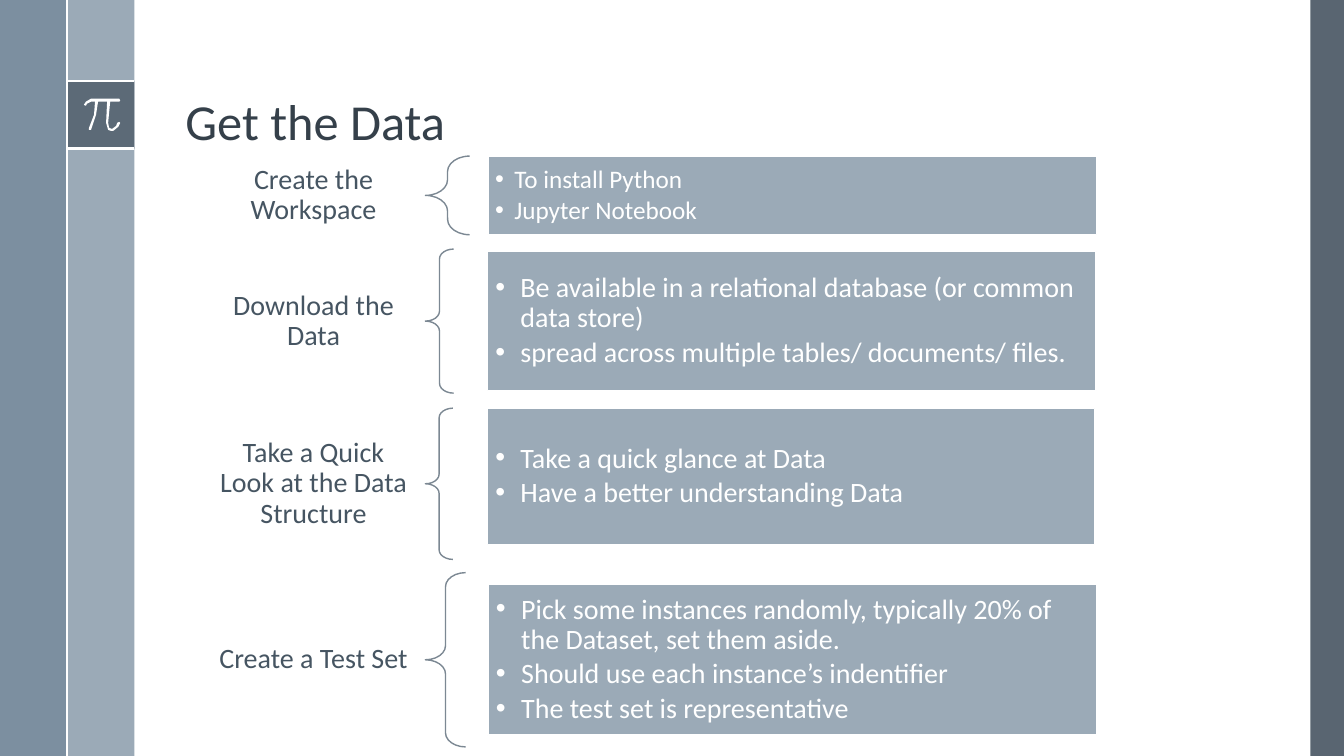
from dataclasses import dataclass

from lxml import etree
from pptx import Presentation
from pptx.dml.color import RGBColor
from pptx.enum.shapes import MSO_CONNECTOR, MSO_SHAPE
from pptx.enum.text import MSO_ANCHOR, MSO_AUTO_SIZE, PP_ALIGN
from pptx.oxml.ns import qn
from pptx.util import Inches, Pt

RECTANGLE, BRACE = MSO_SHAPE.RECTANGLE, MSO_SHAPE.LEFT_BRACE
STRAIGHT = MSO_CONNECTOR.STRAIGHT
MIDDLE, BOTTOM = MSO_ANCHOR.MIDDLE, MSO_ANCHOR.BOTTOM
LEFT, CENTER = PP_ALIGN.LEFT, PP_ALIGN.CENTER
NO_FIT = MSO_AUTO_SIZE.NONE
COMPARISON_LAYOUT = 4


@dataclass(frozen=True)
class Theme:
    font: str = "Calibri"
    title_ink: str = "35404A"
    label_ink: str = "465562"
    white: str = "FFFFFF"
    panel: str = "9BAAB7"
    margin: str = "6A8093"
    dark: str = "475562"
    brace: str = "7C8893"
    title_size: int = 36
    text_size: int = 20
    small_size: int = 18


def assign(target, values):
    for name, value in values.items():
        setattr(target, name, value)


class SlideBuilder:
    def __init__(self, presentation, theme, columns=20, rows=20):
        self.theme = theme
        self.column = presentation.slide_width / columns
        self.row = presentation.slide_height / rows
        layout = presentation.slide_layouts[COMPARISON_LAYOUT]
        self.slide = presentation.slides.add_slide(layout)
        self.shapes = self.slide.shapes

    def place(self, left, top, width, height):
        return (round(left * self.column), round(top * self.row),
                round(width * self.column), round(height * self.row))

    def move(self, holder, area):
        assign(holder, dict(zip(("left", "top", "width", "height"), self.place(*area))))

    def paint(self, shape, color, opacity=100):
        shape.fill.solid()
        shape.fill.fore_color.rgb = RGBColor.from_string(color)
        if opacity < 100:
            tint = next(shape.element.spPr.iter(qn("a:srgbClr")))
            etree.SubElement(tint, qn("a:alpha"), val=str(opacity * 1000))

    def stroke(self, shape, color, width):
        shape.line.color.rgb = RGBColor.from_string(color)
        shape.line.width = Pt(width)

    def band(self, area, color, opacity=100):
        band = self.shapes.add_shape(RECTANGLE, *self.place(*area))
        band.shadow.inherit = False
        self.paint(band, color, opacity)
        band.line.fill.background()

    def rule(self, left, top, width, height):
        x, y, dx, dy = self.place(left, top, width, height)
        rule = self.shapes.add_connector(STRAIGHT, x, y, x + dx, y + dy)
        self.stroke(rule, self.theme.white, 1.5)
        etree.SubElement(rule.element.spPr, qn("a:effectLst"))

    def glyph(self, left, top, outline):
        builder = self.shapes.build_freeform(*outline[0], scale=self.column * 0.015)
        builder.add_line_segments(outline[1:], close=True)
        x, y, _, _ = self.place(left, top, 0, 0)
        glyph = builder.convert_to_shape(x, y)
        glyph.shadow.inherit = False
        self.paint(glyph, self.theme.white)
        glyph.line.fill.background()

    def brace(self, area):
        brace = self.shapes.add_shape(BRACE, *self.place(*area))
        brace.shadow.inherit = False
        brace.adjustments[0] = 0.35
        brace.fill.background()
        self.stroke(brace, self.theme.brace, 1)

    def typeset(self, frame, lines, color, size, align, anchor, insets, after=0):
        sides = ("margin_left", "margin_top", "margin_right", "margin_bottom")
        assign(frame, {"word_wrap": True, "auto_size": NO_FIT, "vertical_anchor": anchor,
                       **dict(zip(sides, map(Inches, insets)))})
        frame.text = "\n".join(lines)
        for paragraph in frame.paragraphs:
            assign(paragraph, {"alignment": align, "line_spacing": 0.9,
                               "space_before": Pt(0), "space_after": Pt(after)})
            for run in paragraph.runs:
                assign(run.font, {"name": self.theme.font, "size": Pt(size), "bold": False})
                run.font.color.rgb = RGBColor.from_string(color)

    def title(self, area, text):
        holder = self.shapes.title
        self.move(holder, area)
        self.typeset(holder.text_frame, [text], self.theme.title_ink,
                     self.theme.title_size, LEFT, BOTTOM, (0.1, 0.05, 0.1, 0.05))

    def label(self, area, text):
        label = self.shapes.add_textbox(*self.place(*area))
        self.typeset(label.text_frame, [text], self.theme.label_ink,
                     self.theme.text_size, CENTER, MIDDLE, (0.16, 0.06, 0.16, 0.06))

    def bullets(self, index, area, lines, size):
        holder = self.slide.placeholders[index]
        self.move(holder, area)
        self.paint(holder, self.theme.panel)
        self.stroke(holder, self.theme.white, 1)
        self.typeset(holder.text_frame, lines, self.theme.white, size, LEFT, MIDDLE,
                     (size * 0.004,) * 4, size * 0.15)
        indent = Inches(0.25 if size == self.theme.text_size else 0.19)
        for paragraph in holder.text_frame.paragraphs:
            properties = paragraph._p.get_or_add_pPr()
            properties.set("marL", str(indent))
            properties.set("indent", str(-indent))
            etree.SubElement(properties, qn("a:buFont"), typeface="Arial")
            etree.SubElement(properties, qn("a:buChar"), char="•")


PI_OUTLINE = [
    (35, 0), (7, 0), (1.6, 2.6), (0, 6), (1, 7), (2, 7), (3.4, 4.6), (7, 3), (11, 3),
    (9.9, 15.6), (5, 29), (5, 31), (6, 31), (7, 31), (12, 16.3), (14, 3), (23, 3),
    (22, 24), (24, 31), (27, 32), (29, 32), (34.4, 28.4), (36, 24), (35, 23), (33, 24),
    (32, 26.6), (28, 30), (25, 29), (24, 24), (26, 3), (35, 3), (36, 2),
]

STEPS = [
    ("Create the Workspace", (4.13, 2.08, 0.66), (7.26, 4.13, 9.06, 2.08),
     ["To install Python", "Jupyter Notebook"]),
    ("Download the Data", (6.59, 3.81, 0.42), (7.25, 6.65, 9.06, 3.68),
     ["Be available in a relational database (or common data store)",
      "spread across multiple tables/ documents/ files."]),
    ("Take a Quick Look at the Data Structure", (10.8, 4, 0.41), (7.25, 10.8, 9.04, 3.6),
     ["Take a quick glance at Data", "Have a better understanding Data"]),
    ("Create a Test Set", (15.15, 4.61, 0.6), (7.26, 15.45, 9.06, 4),
     ["Pick some instances randomly, typically 20% of the Dataset, set them aside.",
      "Should use each instance’s indentifier", "The test set is representative"]),
]


def main():
    presentation = Presentation()
    assign(presentation, {"slide_width": Inches(13.33), "slide_height": Inches(7.5)})
    theme = Theme()
    page = SlideBuilder(presentation, theme)

    page.band((19.5, 0, 0.5, 20), theme.dark, 90)
    page.band((1, 0, 1, 20), theme.panel)
    page.band((0, 0, 1, 20), theme.margin, 88)
    page.band((1, 2.15, 1, 1.78), theme.dark, 75)
    for top in (2.15, 3.93):
        page.rule(1, top, 1, 0)
    page.glyph(1.25, 2.61, PI_OUTLINE)
    page.rule(1, 0, 0, 20)

    page.title((2.61, 0.51, 16.05, 3.62), "Get the Data")
    for index, (step, (top, height, width), panel, lines) in enumerate(STEPS, 1):
        page.label((3, top, 3.33, height), step)
        page.brace((6.33, top, width, height))
        size = theme.small_size if index == 1 else theme.text_size
        page.bullets(index, panel, lines, size)

    presentation.save("out.pptx")


if __name__ == "__main__":
    main()
